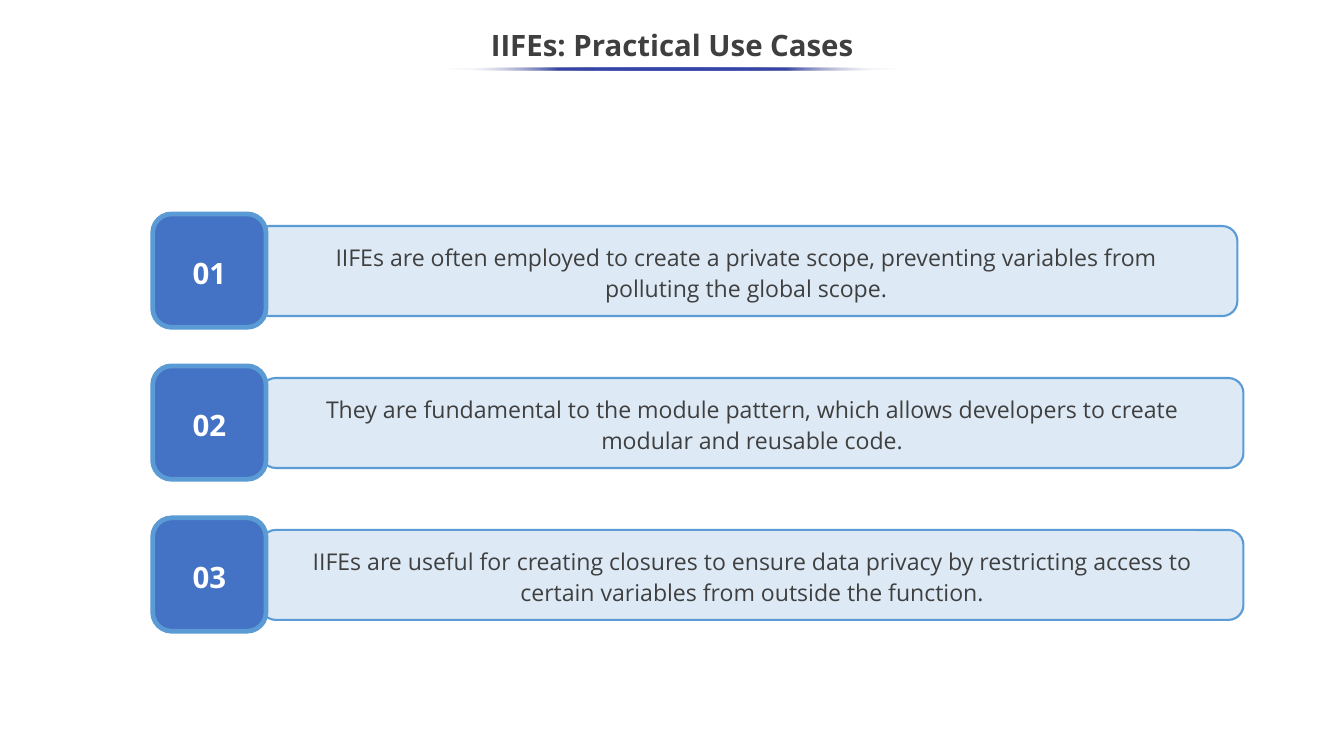
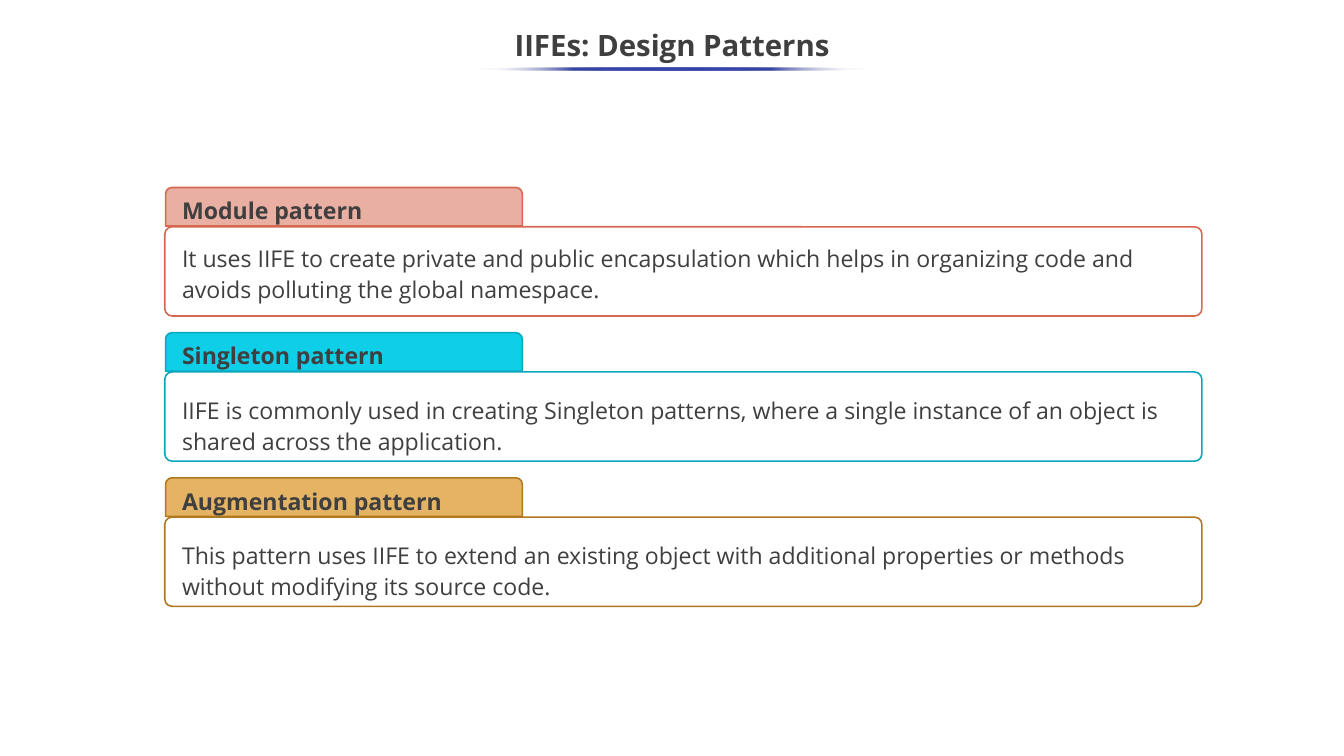
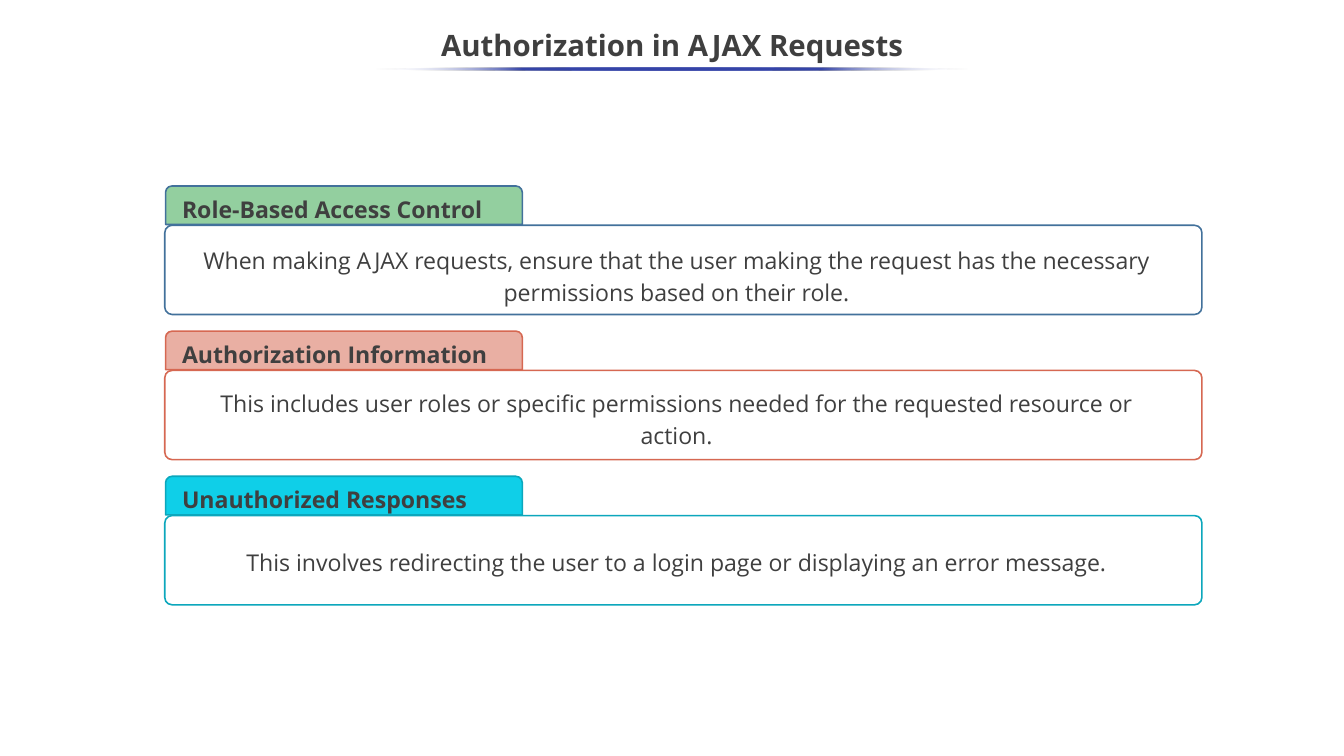
from lxml import etree
from pptx import Presentation
from pptx.dml.color import RGBColor
from pptx.enum import shapes as kinds, text as options
from pptx.oxml.ns import qn
from pptx.util import Inches, Pt

# Content: (bar left, text)
USE_CASES = [
    (3.37, "IIFEs are often employed to create a private scope, preventing variables from\n"
           "polluting the global scope."),
    (3.45, "They are fundamental to the module pattern, which allows developers to create\n"
           "modular and reusable code."),
    (3.45, "IIFEs are useful for creating closures to ensure data privacy by restricting "
           "access to certain variables from outside the function."),
]

# Content: (heading, palette, text, lines of text, drop of the text below the tab top)
PATTERNS = [
    ("Module pattern", "coral",
     "It uses IIFE to create private and public encapsulation which helps in organizing "
     "code and avoids polluting the global namespace.", 2, 0.65),
    ("Singleton pattern", "cyan",
     "IIFE is commonly used in creating Singleton patterns, where a single instance of an "
     "object is shared across the application.", 2, 0.74),
    ("Augmentation pattern", "amber",
     "This pattern uses IIFE to extend an existing object with additional properties or "
     "methods without modifying its source code.", 2, 0.74),
]
AUTHORIZATION = [
    ("Role-Based Access Control", "green",
     "When making AJAX requests, ensure that the user making the request has the necessary "
     "permissions based on their role.", 2, 0.70),
    ("Authorization Information", "coral",
     "This includes user roles or specific permissions needed for the requested resource or "
     "action.", 2, 0.67),
    ("Unauthorized Responses", "cyan",
     "This involves redirecting the user to a login page or displaying an error message.",
     1, 0.85),
]

THEME = {
    "font": "Open Sans",
    "ink": "3F3F3F",
    "white": "FFFFFF",
    "underline": "3645A9",
    "bar": "DDEAF6",
    "badge": "4472C4",
    "outline": "5B9BD5",
    "title size": 28,
    "body size": 22,
    # tab fill, outline
    "coral": ("E9AFA3", "D66852"),
    "cyan": ("0FCFE8", "0CA7BC"),
    "amber": ("E4B363", "B1791F"),
    "green": ("93CF9F", "42719B"),
}
WIDTH, HEIGHT = 17.78, 10
CENTER, LEFT = options.PP_ALIGN.CENTER, options.PP_ALIGN.LEFT
MIDDLE, TOP = options.MSO_ANCHOR.MIDDLE, options.MSO_ANCHOR.TOP
SHAPE = kinds.MSO_SHAPE


def box(*lengths):
    return [Inches(length) for length in lengths]


def write(shape, content, size, color=THEME["ink"], bold=False, align=CENTER,
          anchor=MIDDLE, spacing=1.14):
    frame = shape.text_frame
    frame.text = content
    frame.word_wrap = True
    frame.auto_size = options.MSO_AUTO_SIZE.NONE
    frame.vertical_anchor = anchor
    font_format = {"name": THEME["font"], "size": Pt(size), "bold": bold}
    for paragraph in frame.paragraphs:
        paragraph.alignment = align
        paragraph.line_spacing = spacing
        for run in paragraph.runs:
            for name, value in font_format.items():
                setattr(run.font, name, value)
            run.font.color.rgb = RGBColor.from_string(color)


def add_panel(shapes, kind, bounds, adjustments, outline, weight, fill=None):
    """Add an outlined preset shape, hollow unless a fill is given."""
    panel = shapes.add_shape(kind, *box(*bounds))
    panel.shadow.inherit = False
    for index, value in enumerate(adjustments):
        panel.adjustments[index] = value
    if fill:
        panel.fill.solid()
        panel.fill.fore_color.rgb = RGBColor.from_string(fill)
    else:
        panel.fill.background()
    panel.line.color.rgb = RGBColor.from_string(outline)
    panel.line.width = Pt(weight)
    return panel


def add_underline(slide, width):
    """Add a thin ellipse that fades out at both ends."""
    line = slide.shapes.add_shape(
        SHAPE.OVAL, *box((WIDTH - width) / 2, 0.89, width, 0.04))
    line.shadow.inherit = False
    line.line.fill.background()
    line.fill.background()
    gradient = etree.Element(qn("a:gradFill"), rotWithShape="1")
    stops = etree.SubElement(gradient, qn("a:gsLst"))
    for position in (0, 25, 50, 75, 100):
        faded = position in (0, 100)
        stop = etree.SubElement(stops, qn("a:gs"), pos=str(position * 1000))
        color = etree.SubElement(stop, qn("a:srgbClr"),
                                 val=THEME["white" if faded else "underline"])
        if faded:
            etree.SubElement(color, qn("a:alpha"), val="0")
    etree.SubElement(gradient, qn("a:lin"), ang=str(180 * 60000), scaled="0")
    properties = line.element.spPr
    properties.replace(properties.find(qn("a:noFill")), gradient)


def add_titled_slide(presentation, title, underline_width):
    slide = presentation.slides.add_slide(presentation.slide_layouts[5])
    heading = slide.shapes.title
    heading.left, heading.top, heading.width, heading.height = box(-0.01, 0.25, 17.8, 0.75)
    write(heading, title, THEME["title size"], bold=True, spacing=0.9)
    add_underline(slide, underline_width)
    return slide


def add_numbered_bars(slide, items, top=2.83, pitch=2.01):
    shapes = slide.shapes.add_group_shape().shapes
    for index, (left, content) in enumerate(items):
        y = top + index * pitch
        bar = add_panel(shapes, SHAPE.ROUNDED_RECTANGLE, (left, y + 0.16, 13, 1.19),
                        [0.167], THEME["outline"], 2, THEME["bar"])
        write(bar, content, THEME["body size"])
        badge = add_panel(shapes, SHAPE.ROUNDED_RECTANGLE, (2.02, y, 1.5, 1.5),
                          [0.167], THEME["outline"], 4.5, THEME["badge"])
        write(badge, f"{index + 1:02}", THEME["title size"], THEME["white"], bold=True)


def add_tabbed_cards(slide, cards, top, align, pitch=1.92):
    for index, (heading, palette, content, lines, drop) in enumerate(cards):
        y = top + index * pitch
        fill, outline = THEME[palette]
        shapes = slide.shapes.add_group_shape().shapes
        add_panel(shapes, SHAPE.ROUNDED_RECTANGLE, (2.18, y + 0.52, 13.72, 1.18),
                  [0.082], outline, 1.5)
        add_panel(shapes, SHAPE.ROUND_2_SAME_RECTANGLE, (2.19, y, 4.72, 0.51),
                  [0.167, 0], outline, 1.5, fill)
        body = shapes.add_textbox(*box(2.31, y + drop, 13.28, 0.09 + 0.43 * lines))
        write(body, content, THEME["body size"], align=align, anchor=TOP)
        label = shapes.add_textbox(*box(2.31, y + 0.02, 4.61, 0.52))
        write(label, heading, THEME["body size"], bold=True, align=LEFT, anchor=TOP)


def main():
    presentation = Presentation()
    presentation.slide_width, presentation.slide_height = box(WIDTH, HEIGHT)
    slide = add_titled_slide(presentation, "IIFEs: Practical Use Cases", 6)
    add_numbered_bars(slide, USE_CASES)
    slide = add_titled_slide(presentation, "IIFEs: Design Patterns", 5.21)
    add_tabbed_cards(slide, PATTERNS, 2.48, LEFT)
    slide = add_titled_slide(presentation, "Authorization in AJAX Requests", 7.88)
    add_tabbed_cards(slide, AUTHORIZATION, 2.46, CENTER)
    presentation.save("out.pptx")


if __name__ == "__main__":
    main()
